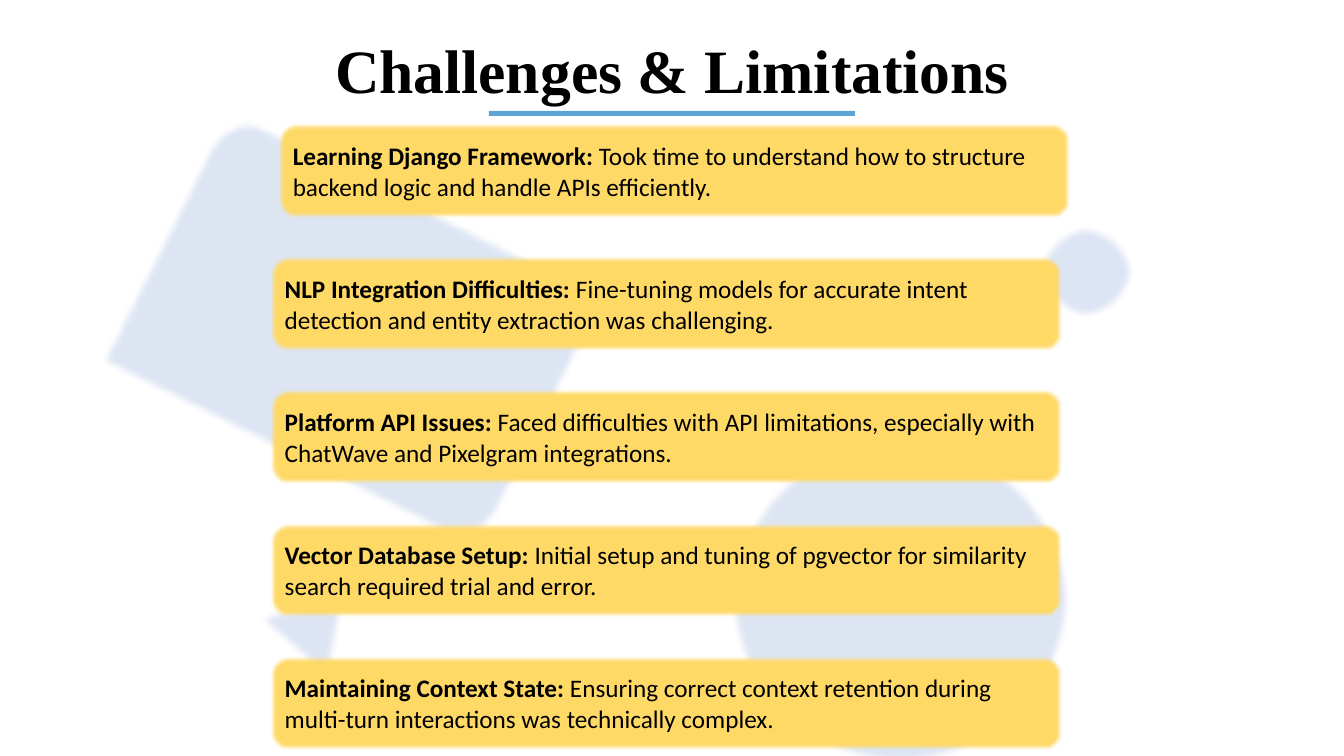
from lxml.etree import SubElement
from pptx import Presentation
from pptx.dml.color import RGBColor
from pptx.enum.shapes import MSO_SHAPE
from pptx.enum.text import MSO_ANCHOR, PP_ALIGN
from pptx.oxml.ns import qn
from pptx.util import Inches, Pt

BLACK = RGBColor(0x00, 0x00, 0x00)
BLUE = RGBColor(0x44, 0x72, 0xC4)
RULE_BLUE = RGBColor(0x00, 0x70, 0xC0)
YELLOW = RGBColor(0xFF, 0xD9, 0x66)

# Preset, left, top, width, height, rotation
BACKGROUND_SHAPES = [
    (MSO_SHAPE.OVAL, 7.23, 4.31, 3.4, 3.28, 0),
    (MSO_SHAPE.ROUND_2_DIAG_RECTANGLE, 1.37, 1.82, 4.27, 2.9, 206.6),
    (MSO_SHAPE.ISOSCELES_TRIANGLE, 2.62, 5.64, 1.12, 0.96, 41.1),
    (MSO_SHAPE.OVAL, 10.28, 2.22, 0.99, 0.96, 0),
]

# Left edge, heading, description
CHALLENGES = [
    (2.76, "Learning Django Framework:",
     " Took time to understand how to structure backend logic and handle APIs efficiently."),
    (2.68, "NLP Integration Difficulties:",
     " Fine-tuning models for accurate intent detection and entity extraction was challenging."),
    (2.68, "Platform API Issues:",
     " Faced difficulties with API limitations, especially with ChatWave and Pixelgram integrations."),
    (2.68, "Vector Database Setup:",
     " Initial setup and tuning of pgvector for similarity search required trial and error."),
    (2.68, "Maintaining Context State:",
     " Ensuring correct context retention during multi-turn interactions was technically complex."),
]
FIRST_CARD_TOP = 1.23
CARD_STEP = 1.32


def add_filled_shape(slide, preset, left, top, width, height, color, opacity=100, soft_edge=0):
    shape = slide.shapes.add_shape(
        preset, Inches(left), Inches(top), Inches(width), Inches(height))
    shape.shadow.inherit = False
    shape.fill.solid()
    shape.fill.fore_color.rgb = color
    shape.line.fill.background()
    properties = shape.element.spPr
    if opacity < 100:
        color_element = properties.find(qn("a:solidFill")).find(qn("a:srgbClr"))
        SubElement(color_element, qn("a:alpha"), val=str(opacity * 1000))
    if soft_edge:
        effects = properties.find(qn("a:effectLst"))
        SubElement(effects, qn("a:softEdge"), rad=str(Pt(soft_edge)))
    return shape


def add_run(paragraph, text, font_name, size, bold):
    run = paragraph.add_run()
    run.text = text
    run.font.name = font_name
    run.font.size = Pt(size)
    run.font.bold = bold
    run.font.color.rgb = BLACK


def format_title(slide, text):
    title = slide.shapes.title
    title.left, title.top = Inches(2.17), Inches(0.06)
    title.width, title.height = Inches(9), Inches(1.25)
    title.text_frame.vertical_anchor = MSO_ANCHOR.MIDDLE
    paragraph = title.text_frame.paragraphs[0]
    paragraph.alignment = PP_ALIGN.CENTER
    add_run(paragraph, text, "Times New Roman", 44, True)


def add_card(slide, left, top, heading, description):
    card = add_filled_shape(
        slide, MSO_SHAPE.ROUNDED_RECTANGLE, left, top, 7.85, 0.93, YELLOW, soft_edge=2.5)
    card.text_frame.word_wrap = True
    card.text_frame.vertical_anchor = MSO_ANCHOR.MIDDLE
    paragraph = card.text_frame.paragraphs[0]
    paragraph.alignment = PP_ALIGN.LEFT
    add_run(paragraph, heading, "Calibri", 18, True)
    add_run(paragraph, description, "Calibri", 18, False)


def main():
    presentation = Presentation()
    presentation.slide_width = Inches(13.33)
    presentation.slide_height = Inches(7.5)
    slide = presentation.slides.add_slide(presentation.slide_layouts[5])

    # Pale background shapes, behind the title
    for preset, left, top, width, height, rotation in BACKGROUND_SHAPES:
        shape = add_filled_shape(
            slide, preset, left, top, width, height, BLUE, opacity=18, soft_edge=5)
        shape.rotation = rotation
    slide.shapes.element.append(slide.shapes.title.element)

    # Title and its rule
    format_title(slide, "Challenges & Limitations")
    add_filled_shape(slide, MSO_SHAPE.RECTANGLE, 4.85, 1.1, 3.63, 0.05, RULE_BLUE, opacity=64)

    # Challenge cards
    for index, (left, heading, description) in enumerate(CHALLENGES):
        add_card(slide, left, FIRST_CARD_TOP + index * CARD_STEP, heading, description)

    presentation.save("out.pptx")


if __name__ == "__main__":
    main()
